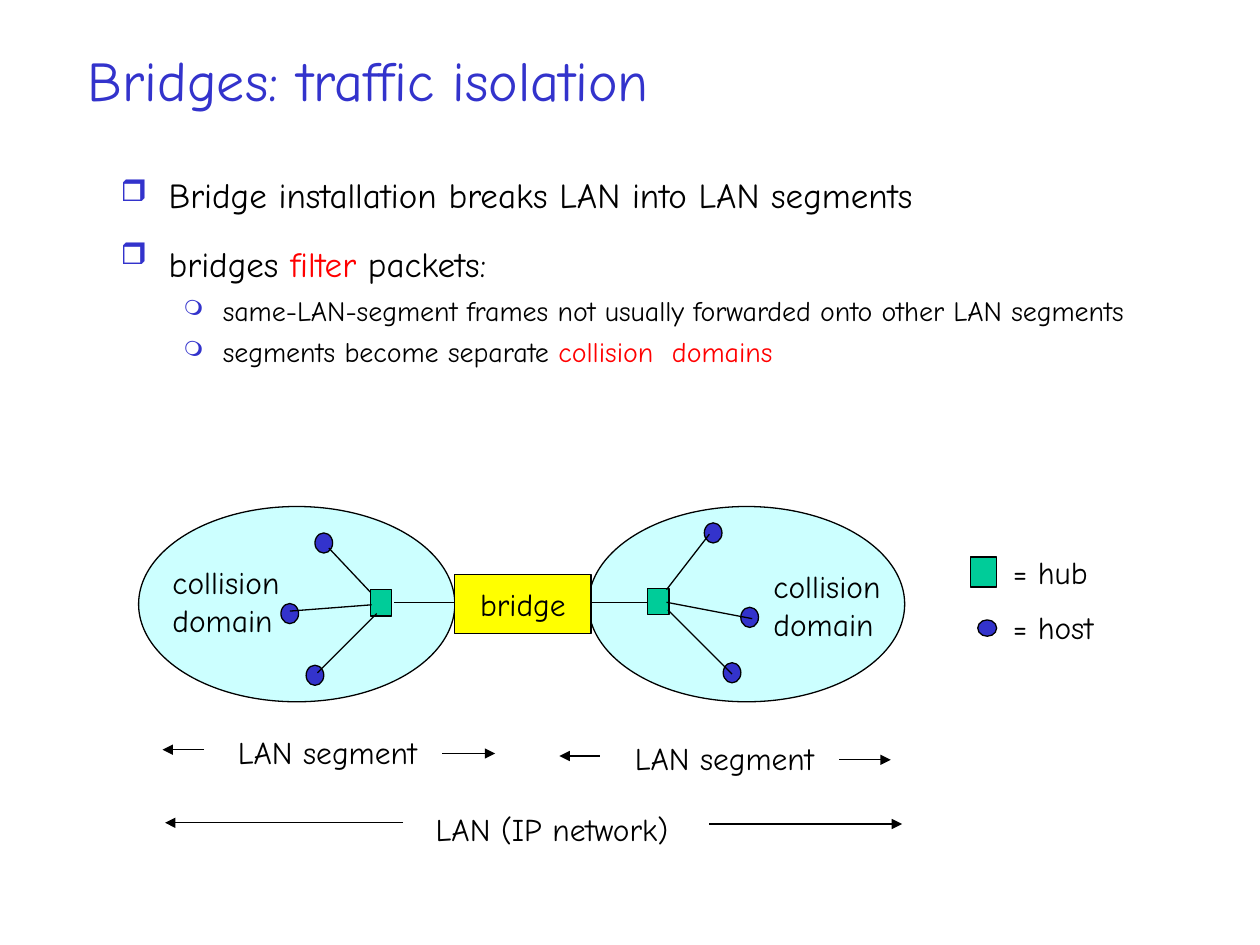
from lxml import etree
from pptx import Presentation
from pptx.dml.color import RGBColor
from pptx.enum.shapes import MSO_CONNECTOR, MSO_SHAPE
from pptx.enum.text import MSO_ANCHOR, PP_ALIGN
from pptx.oxml.ns import qn
from pptx.util import Inches, Pt

BLACK = RGBColor(0x00, 0x00, 0x00)
BLUE = RGBColor(0x33, 0x33, 0xCC)
RED = RGBColor(0xFF, 0x00, 0x00)
CYAN = RGBColor(0xCC, 0xFF, 0xFF)
YELLOW = RGBColor(0xFF, 0xFF, 0x00)
GREEN = RGBColor(0x00, 0xCC, 0x99)
ELLIPSE = MSO_SHAPE.OVAL
RECTANGLE = MSO_SHAPE.RECTANGLE
STRAIGHT = MSO_CONNECTOR.STRAIGHT
MIDDLE = MSO_ANCHOR.MIDDLE
CENTER = PP_ALIGN.CENTER
FONT = "Comic Neue"
LINE_WIDTH = Pt(0.75)
DOMAIN_SIZE = (2.51, 1.55)
HUB_SIZE = (0.17, 0.21)
HOST_SIZE = (0.14, 0.16)
LEGEND_LABEL_SIZE = (0.9, 0.4)

LEVELS = [
    {"left": 0.38, "hang": 0.38, "bullet": "❒", "scale": 85},
    {"left": 0.81, "hang": 0.31, "bullet": "❍", "scale": 75},
]
POINTS = [
    (0, 0, [("Bridge installation breaks LAN into LAN segments", 20, BLACK)]),
    (0, 7, [("bridges ", 20, BLACK), ("filter", 20, RED),
            (" packets:", 20, BLACK), (" ", 28, BLACK)]),
    (1, 4, [("same-LAN-segment frames not usually forwarded onto other LAN segments",
             16, BLACK)]),
    (1, 4, [("segments become separate ", 16, BLACK),
            ("collision  domains", 16, RED)]),
]
DOMAINS = [
    {"at": (1.1, 4.02), "hub": (2.94, 4.68), "label": (1.27, 4.42),
     "hosts": [(2.5, 4.23), (2.23, 4.79), (2.43, 5.28)],
     "links": [((2.94, 4.7), (2.61, 4.35)), ((2.95, 4.8), (2.3, 4.85)),
               ((2.99, 4.87), (2.52, 5.34)), ((3.13, 4.78), (3.6, 4.78))]},
    {"at": (4.67, 4.02), "hub": (5.14, 4.67), "label": (6.04, 4.45),
     "hosts": [(5.59, 4.15), (5.88, 4.82), (5.74, 5.26)],
     "links": [((5.29, 4.68), (5.63, 4.24)), ((5.29, 4.78), (5.97, 4.91)),
               ((5.3, 4.84), (5.81, 5.35)), ((4.7, 4.78), (5.14, 4.78))]},
]
SPANS = [
    ("LAN segment", (1.79, 5.77), 1.62,
     [((3.51, 5.98), (3.93, 5.98)), ((1.62, 5.95), (1.29, 5.95))]),
    ("LAN segment", (4.94, 5.82), 1.62,
     [((6.66, 6.03), (7.07, 6.03)), ((4.76, 6), (4.44, 6))]),
    ("LAN (IP network)", (3.36, 6.38), 2.05,
     [((3.2, 6.53), (1.31, 6.53)), ((5.63, 6.54), (7.16, 6.54))]),
]


def style_font(font, size, color):
    """Apply the slide's typeface with a size and colour."""
    font.name = FONT
    font.size = Pt(size)
    font.color.rgb = color


def add_text(shapes, text, at, size, points=18, color=BLACK, wrap=False):
    """Add a text box and return its frame."""
    frame = shapes.add_textbox(*map(Inches, at + size)).text_frame
    frame.word_wrap = wrap
    frame.text = text
    for paragraph in frame.paragraphs:
        for run in paragraph.runs:
            style_font(run.font, points, color)
    return frame


def add_node(shapes, kind, at, size, color):
    """Add a filled shape with a thin black outline."""
    node = shapes.add_shape(kind, *map(Inches, at + size))
    node.shadow.inherit = False
    node.fill.solid()
    node.fill.fore_color.rgb = color
    node.line.color.rgb = BLACK
    node.line.width = LINE_WIDTH
    return node


def add_link(shapes, start, end, arrow=False):
    """Draw a straight line, optionally with an arrowhead at its end."""
    link = shapes.add_connector(STRAIGHT, *map(Inches, start + end))
    link.line.color.rgb = BLACK
    link.line.width = LINE_WIDTH
    if arrow:
        etree.SubElement(link.line._get_or_add_ln(), qn("a:tailEnd"), type="triangle")
    etree.SubElement(link._element.spPr, qn("a:effectLst"))


def set_bullet(paragraph, left, hang, bullet, scale):
    """Give a paragraph a hanging indent and a coloured bullet."""
    properties = paragraph._p.get_or_add_pPr()
    properties.set("marL", str(Inches(left)))
    properties.set("indent", str(-Inches(hang)))
    color = etree.SubElement(properties, qn("a:buClr"))
    etree.SubElement(color, qn("a:srgbClr"), val=str(BLUE))
    etree.SubElement(properties, qn("a:buSzPct"), val=str(scale * 1000))
    etree.SubElement(properties, qn("a:buChar"), char=bullet)


def add_points(shapes):
    """Add the bulleted statements about bridges."""
    frame = add_text(shapes, "", (0.86, 1.33), (8.62, 2.57), wrap=True)
    for index, (level, space, pieces) in enumerate(POINTS):
        paragraph = frame.add_paragraph() if index else frame.paragraphs[0]
        paragraph.level = level
        paragraph.space_before = Pt(space)
        set_bullet(paragraph, **LEVELS[level])
        for text, size, color in pieces:
            run = paragraph.add_run()
            run.text = text
            style_font(run.font, size, color)


def add_domain(shapes, domain):
    """Add the hub, hosts, links and label of a collision domain."""
    add_node(shapes, RECTANGLE, domain["hub"], HUB_SIZE, GREEN)
    for host in domain["hosts"]:
        add_node(shapes, ELLIPSE, host, HOST_SIZE, BLUE)
    for start, end in domain["links"]:
        add_link(shapes, start, end)
    add_text(shapes, "collision\ndomain", domain["label"], (1.13, 0.7))


def add_bridge(shapes):
    """Add the labelled bridge between the domains."""
    bridge = add_node(shapes, RECTANGLE, (3.61, 4.56), (1.08, 0.47), YELLOW)
    frame = bridge.text_frame
    frame.text = "bridge"
    frame.word_wrap = False
    frame.vertical_anchor = MIDDLE
    frame.paragraphs[0].alignment = CENTER
    style_font(frame.paragraphs[0].runs[0].font, 18, BLACK)


def add_network(shapes):
    """Add both collision domains joined by the bridge."""
    for domain in DOMAINS:
        add_node(shapes, ELLIPSE, domain["at"], DOMAIN_SIZE, CYAN)
    add_bridge(shapes)
    for domain in DOMAINS:
        add_domain(shapes, domain)


def add_legend(shapes):
    """Explain the hub and host symbols."""
    add_node(shapes, RECTANGLE, (7.7, 4.42), (0.21, 0.24), GREEN)
    add_node(shapes, ELLIPSE, (7.76, 4.92), (0.15, 0.13), BLUE)
    add_text(shapes, "= hub", (7.94, 4.34), LEGEND_LABEL_SIZE)
    add_text(shapes, "= host", (7.94, 4.78), LEGEND_LABEL_SIZE)


def add_span(shapes, label, at, width, arrows):
    """Add a label with arrows marking the extent it names."""
    add_text(shapes, label, at, (width, 0.4))
    for start, end in arrows:
        add_link(shapes, start, end, arrow=True)


def main():
    """Build and save the slide."""
    deck = Presentation()
    deck.slide_width = Inches(10)
    deck.slide_height = Inches(7.5)
    slide = deck.slides.add_slide(deck.slide_layouts[6])
    shapes = slide.shapes
    title = add_text(shapes, "Bridges: traffic isolation", (0.6, 0), (8.5, 1.25),
                     32, BLUE, wrap=True)
    title.vertical_anchor = MIDDLE
    add_points(shapes)
    diagram = shapes.add_group_shape().shapes
    add_network(diagram)
    add_legend(diagram)
    for span in SPANS:
        add_span(shapes.add_group_shape().shapes, *span)
    deck.save("out.pptx")


if __name__ == "__main__":
    main()
